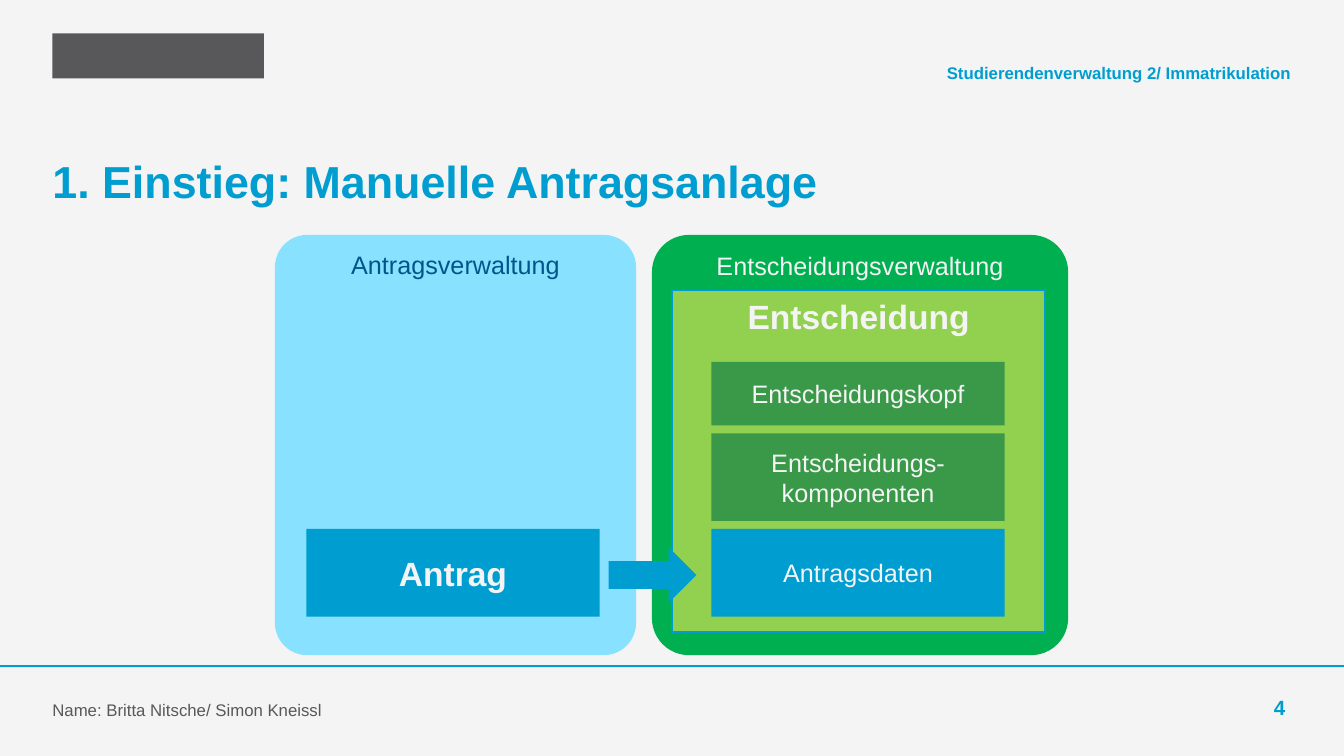
from pptx import Presentation
from pptx.dml.color import RGBColor
from pptx.enum.shapes import MSO_SHAPE as SHAPE
from pptx.enum.text import MSO_ANCHOR as ANCHOR, PP_ALIGN as ALIGN
from pptx.util import Cm, Pt

PAPER = RGBColor(0xF4, 0xF4, 0xF4)
BLUE = RGBColor(0x00, 0x9D, 0xD1)
NAVY = RGBColor(0x00, 0x56, 0x8A)
SKY = RGBColor(0x87, 0xE1, 0xFF)
GREEN = RGBColor(0x00, 0xB0, 0x50)
LIME = RGBColor(0x92, 0xD0, 0x50)
FOREST = RGBColor(0x39, 0x99, 0x49)
GREY = RGBColor(0x58, 0x58, 0x5A)

MARGIN = 1.32
LABEL_W, LABEL_H = 19.2, 0.99
BLOCK_W, BLOCK_H, BLOCK_GAP = 7.39, 2.21, 0.2


def write(shape, text, size=18, color=PAPER, bold=False, align=ALIGN.CENTER,
          anchor=ANCHOR.MIDDLE, inset=None):
    tf = shape.text_frame
    tf.word_wrap = True
    tf.vertical_anchor = anchor
    if inset is not None:
        tf.margin_left = tf.margin_right = Cm(inset)
        tf.margin_top = tf.margin_bottom = Cm(inset)
    p = tf.paragraphs[0]
    p.alignment = align
    r = p.add_run()
    r.text = text
    r.font.name = "Arial"
    r.font.size = Pt(size)
    r.font.bold = bold
    r.font.color.rgb = color


def add_box(s, kind, x, y, w, h, fill, line=None):
    sp = s.shapes.add_shape(kind, Cm(x), Cm(y), Cm(w), Cm(h))
    sp.shadow.inherit = False
    sp.fill.solid()
    sp.fill.fore_color.rgb = fill
    if line is None:
        sp.line.fill.background()
    else:
        sp.line.color.rgb = line
        sp.line.width = Pt(1)
    return sp


def add_panel(s, x, w, fill, text, color):
    sp = add_box(s, SHAPE.ROUNDED_RECTANGLE, x, 5.92, w, 10.59, fill)
    sp.adjustments[0] = 0.089
    write(sp, text, color=color, anchor=ANCHOR.TOP)


def add_block(s, x, y, h, fill, text, **fmt):
    write(add_box(s, SHAPE.RECTANGLE, x, y, BLOCK_W, h, fill), text, **fmt)


def add_label(s, x, y, w, text, **fmt):
    sp = s.shapes.add_textbox(Cm(x), Cm(y), Cm(w), Cm(LABEL_H))
    write(sp, text, anchor=ANCHOR.BOTTOM, inset=0, **fmt)


def add_title(s, text):
    sp = s.shapes.title
    sp.left, sp.top, sp.width, sp.height = Cm(MARGIN), Cm(3.76), Cm(31.22), Cm(1.6)
    write(sp, text, size=32, color=BLUE, bold=True, align=ALIGN.LEFT, inset=0)


def main():
    prs = Presentation()
    prs.slide_width, prs.slide_height = Cm(33.87), Cm(19.05)
    s = prs.slides.add_slide(prs.slide_layouts[5])
    s.background.fill.solid()
    s.background.fill.fore_color.rgb = PAPER

    # Header, title and footer
    add_box(s, SHAPE.RECTANGLE, MARGIN, 0.84, 5.33, 1.14, GREY)
    add_label(s, 13.34, 1.09, LABEL_W, "Studierendenverwaltung 2/ Immatrikulation",
              size=12, color=BLUE, bold=True, align=ALIGN.RIGHT)
    add_title(s, "1. Einstieg: Manuelle Antragsanlage")
    add_box(s, SHAPE.RECTANGLE, 0, 16.76, 33.87, 0.05, BLUE)
    add_label(s, MARGIN, 17.15, LABEL_W, "Name: Britta Nitsche/ Simon Kneissl",
              size=12, color=GREY, align=ALIGN.LEFT)
    add_label(s, 29.87, 17.15, 2.52, "4",
              size=14.7, color=BLUE, bold=True, align=ALIGN.RIGHT)

    # Panels of the two administrations
    add_panel(s, 6.93, 9.1, SKY, "Antragsverwaltung", NAVY)
    add_panel(s, 16.43, 10.49, GREEN, "Entscheidungsverwaltung", PAPER)
    decision = add_box(s, SHAPE.RECTANGLE, 16.94, 7.32, 9.4, 8.61, LIME, line=BLUE)
    write(decision, "Entscheidung", size=24, bold=True, anchor=ANCHOR.TOP)

    # Parts of the decision, stacked with equal gaps
    y = 9.12
    for text, h, fill in (("Entscheidungskopf", 1.6, FOREST),
                          ("Entscheidungs-komponenten", BLOCK_H, FOREST),
                          ("Antragsdaten", BLOCK_H, BLUE)):
        add_block(s, 17.93, y, h, fill, text)
        y += h + BLOCK_GAP

    # Application, level with the last part, and its arrow
    add_block(s, 7.72, y - BLOCK_H - BLOCK_GAP, BLOCK_H, BLUE, "Antrag",
              size=24, bold=True)
    add_box(s, SHAPE.RIGHT_ARROW, 15.34, 13.79, 2.21, 1.4, BLUE)

    prs.save("out.pptx")


if __name__ == "__main__":
    main()
